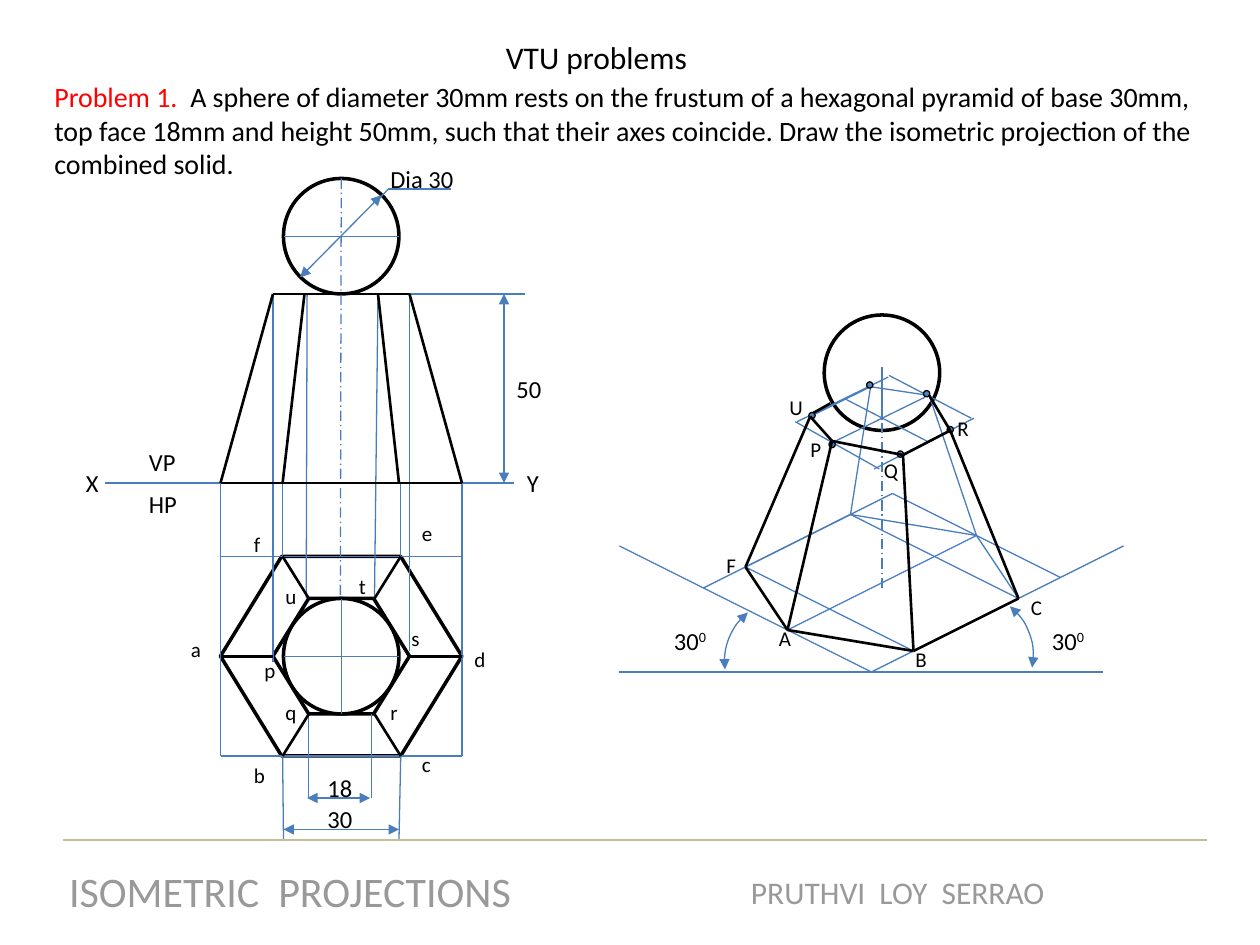
from dataclasses import dataclass, field
from typing import Optional

from lxml.etree import SubElement
from pptx import Presentation
from pptx.dml.color import RGBColor
from pptx.enum.dml import MSO_LINE
from pptx.enum.shapes import MSO_CONNECTOR, MSO_SHAPE as SHP
from pptx.enum.text import PP_ALIGN
from pptx.oxml.ns import qn
from pptx.util import Pt

BLACK = RGBColor(0x00, 0x00, 0x00)
WHITE = RGBColor(0xFF, 0xFF, 0xFF)
RED = RGBColor(0xFF, 0x00, 0x00)
GRAY = RGBColor(0x99, 0x99, 0x99)
BLUE = RGBColor(0x4A, 0x7D, 0xBB)
DOT_BLUE = RGBColor(0x4F, 0x81, 0xBD)
TAN = RGBColor(0xC4, 0xBD, 0x97)

Point = tuple[float, float]


@dataclass(frozen=True)
class Pen:
    color: RGBColor = BLUE
    width: float = 0.75
    dash: Optional[MSO_LINE] = None
    arrows: bool = False


@dataclass(frozen=True)
class Outline:
    kind: SHP
    box: tuple[float, float, float, float]
    pen: Pen
    fill: Optional[RGBColor] = WHITE
    adjust: tuple[float, ...] = ()
    rotation: float = 0


@dataclass(frozen=True)
class Run:
    text: str
    color: RGBColor = BLACK
    raised: bool = False


@dataclass(frozen=True)
class Label:
    runs: tuple[Run, ...]
    box: tuple[float, float, float, float]
    format: dict = field(default_factory=dict)
    align: PP_ALIGN = PP_ALIGN.LEFT
    wrap: bool = False


THIN = Pen()
EDGE = Pen(BLACK, 1.5)
BOLD = Pen(BLACK, 2)
AXIS = Pen(dash=MSO_LINE.LONG_DASH_DOT)
DIMENSION = Pen(arrows=True)

PLAN = {
    "a": (126, 375), "b": (161.5, 432), "c": (229, 432),
    "d": (264, 375), "e": (229, 318), "f": (161.5, 318),
    "p": (156, 375), "q": (176.5, 408), "r": (214, 408),
    "s": (234, 375), "t": (214, 342), "u": (176.5, 342),
}
ISO = {
    "A": (450, 360), "B": (522, 372), "C": (582, 342),
    "D": (558, 306), "E": (486, 294), "F": (426, 324),
    "P": (475.5, 252), "Q": (516, 260), "R": (543, 246),
    "S": (531, 226), "T": (497.5, 221), "U": (463, 238),
}
PLAN_EDGES = "ap ds et fu rc qb"
ISO_VISIBLE = "FA AB BC UP PQ QR SR UF PA QB RC"
ISO_HIDDEN = "AD FB EC DC ED EF TS UT DS ET"

OUTLINES = [
    Outline(SHP.OVAL, (471, 180, 66, 66), BOLD),
    Outline(SHP.OVAL, (162, 102, 66, 66), BOLD),
    Outline(SHP.ARC, (518.5, 338.5, 72, 72), DIMENSION, None, (161.988, 199.343), 39),
    Outline(SHP.ARC, (414, 342, 72, 72), DIMENSION, None, (157.671, 192.653), 270),
    Outline(SHP.HEXAGON, (126, 318, 138, 114), BOLD, adjust=(0.307, 1.155)),
    Outline(SHP.HEXAGON, (156, 342, 78, 66), BOLD, adjust=(0.31, 1.155)),
    Outline(SHP.OVAL, (162, 342, 66, 66), BOLD),
]
DOTS = [(475.5, 254), (529.5, 225), (464, 237.5), (497, 220), (514.5, 259.5), (543, 245.5)]

LINES = {
    THIN: [
        ((60, 276), (294, 276)), ((156, 168), (300, 168)),
        ((126, 276), (126, 432)), ((264, 276), (264, 432)),
        ((126, 318), (264, 318)), ((126, 432), (264, 432)),
        ((156, 378), (156, 168)), ((234, 372), (234, 168)),
        ((214, 342), (216, 168)), ((175, 342), (175.5, 168)),
        ((161.5, 318), (161.5, 276)), ((229, 318), (229, 276)),
        ((162, 375), (228, 375)), ((195, 408), (195, 342)),
        ((162, 135), (228, 135)), ((222, 108), (216, 114)), ((258, 108), (222, 108)),
        ((161.5, 432), (162, 480)), ((229, 432), (228, 480)),
        ((176.5, 408), (176.5, 456)), ((212.5, 408), (212.5, 456)),
        ((498, 384), (642, 312)), ((354, 384), (630, 384)), ((498, 384), (354, 312)),
        ((402, 336), (510, 282)), ((510, 282), (606, 330)),
        ((508, 214.5), (555, 239)), ((528.5, 227), (476.5, 252.5)),
        ((556.5, 239), (499.5, 268)), ((507.5, 215.5), (455.5, 241)),
        ((454.5, 241), (502.5, 268)), ((483, 228), (530.5, 252.5)),
        ((504, 240), (504, 210)),
    ],
    AXIS: [((195, 102), (194.5, 342)), ((504, 336), (504, 240))],
    DIMENSION: [
        ((171.5, 158.5), (218, 111.5)), ((288, 168), (288, 276)),
        ((162, 474), (228, 474)), ((175.5, 456), (211.5, 456)),
    ],
    EDGE: [
        ((156, 168), (126, 276)), ((234, 168), (264, 276)),
        ((161.5, 276), (174, 168)), ((216, 168), (228, 276)),
        ((156, 168), (234, 168)), ((126, 276), (264, 276)),
        ((474.5, 230.5), (463, 237)),
    ],
    Pen(TAN): [((36, 480), (690, 480))],
}

DIMENSION_TEXTS = [
    ("X", 42, 264, 21.5), ("Y", 294, 264, 21.5), ("VP", 78, 252, 30), ("HP", 78, 276, 31),
    ("50", 288, 210, 29), ("18", 180, 438, 29), ("30", 180, 456, 29), ("Dia 30", 216, 90, 51),
]
CORNER_TEXTS = [
    ("A", 438, 354, 21.5), ("B", 516, 366, 21.5), ("C", 582, 336, 21.5), ("F", 408, 312, 20),
    ("U", 444, 222, 22), ("P", 456, 246, 21.5), ("Q", 498, 258, 23), ("R", 540, 234, 21.5),
    ("a", 102, 360, 20), ("b", 138, 432, 21), ("c", 234, 426, 20), ("d", 264, 366, 21),
    ("e", 234, 294, 21), ("f", 138, 300, 18), ("p", 144, 372, 21), ("q", 156, 396, 21),
    ("r", 216, 396, 19), ("s", 228, 354, 19.5), ("t", 198, 324, 19), ("u", 156, 330, 21),
]
LABELS = [
    Label((Run("Problem 1.  ", RED),
           Run("A sphere of diameter 30mm rests on the frustum of a hexagonal pyramid of base 30mm, "
               "top face 18mm and height 50mm, such that their axes coincide. Draw the isometric "
               "projection of the combined solid.")),
          (24, 42, 672, 65.5), {"size": Pt(16)}, wrap=True),
    Label((Run("VTU problems"),), (282, 18, 348, 29), {"size": Pt(18)}, wrap=True),
    *(Label((Run("30"), Run("0", raised=True)), (x, 354, 34, 24.5), {"size": Pt(14)})
      for x in (378, 594)),
    *(Label((Run(text),), (x, y, w, 24.5), {"size": Pt(14)}) for text, x, y, w in DIMENSION_TEXTS),
    *(Label((Run(text),), (x, y, w, 21.5), {"size": Pt(12)}) for text, x, y, w in CORNER_TEXTS),
    Label((Run("ISOMETRIC  PROJECTIONS", GRAY),), (31, 491, 269.5, 36),
          {"size": Pt(24)}, PP_ALIGN.CENTER),
    Label((Run("PRUTHVI  LOY  SERRAO", GRAY),), (421, 495.5, 184, 29),
          {"size": Pt(18)}, PP_ALIGN.CENTER),
]


def set_line(shape, pen: Pen) -> None:
    shape.line.color.rgb = pen.color
    for name, value in {"width": Pt(pen.width), "dash_style": pen.dash}.items():
        setattr(shape.line, name, value)
    if pen.arrows:
        ln = shape._element.spPr.find(qn("a:ln"))
        for end in ("a:headEnd", "a:tailEnd"):
            SubElement(ln, qn(end), type="triangle")


def draw_line(s, start: Point, end: Point, pen: Pen) -> None:
    line = s.shapes.add_connector(MSO_CONNECTOR.STRAIGHT, *map(Pt, start + end))
    set_line(line, pen)
    SubElement(line._element.spPr, qn("a:effectLst"))


def draw_edges(s, corners: dict[str, Point], pairs: str, pen: Pen) -> None:
    for start, end in pairs.split():
        draw_line(s, corners[start], corners[end], pen)


def draw_outline(s, outline: Outline) -> None:
    sp = s.shapes.add_shape(outline.kind, *map(Pt, outline.box))
    sp.shadow.inherit = False
    sp.rotation = outline.rotation
    for i, value in enumerate(outline.adjust):
        sp.adjustments[i] = value
    if outline.fill is None:
        sp.fill.background()
    else:
        sp.fill.solid()
        sp.fill.fore_color.rgb = outline.fill
    set_line(sp, outline.pen)


def draw_label(s, label: Label) -> None:
    tf = s.shapes.add_textbox(*map(Pt, label.box)).text_frame
    tf.word_wrap = label.wrap
    p = tf.paragraphs[0]
    p.alignment = label.align
    for run in label.runs:
        r = p.add_run()
        r.text = run.text
        for name, value in {"name": "Calibri", **label.format}.items():
            setattr(r.font, name, value)
        r.font.color.rgb = run.color
        if run.raised:
            r._r.get_or_add_rPr().set("baseline", "30000")


def main() -> None:
    prs = Presentation()
    prs.slide_width, prs.slide_height = Pt(720), Pt(540)
    s = prs.slides.add_slide(prs.slide_layouts[6])
    for outline in OUTLINES:
        draw_outline(s, outline)
    draw_edges(s, ISO, ISO_HIDDEN, THIN)
    for pen, segments in LINES.items():
        for start, end in segments:
            draw_line(s, start, end, pen)
    for x, y in DOTS:
        draw_outline(s, Outline(SHP.OVAL, (x - 1.8, y - 1.8, 3.6, 3.6), Pen(BLACK), DOT_BLUE))
    draw_edges(s, PLAN, PLAN_EDGES, EDGE)
    draw_edges(s, ISO, ISO_VISIBLE, EDGE)
    for label in LABELS:
        draw_label(s, label)
    prs.save("out.pptx")


if __name__ == "__main__":
    main()
